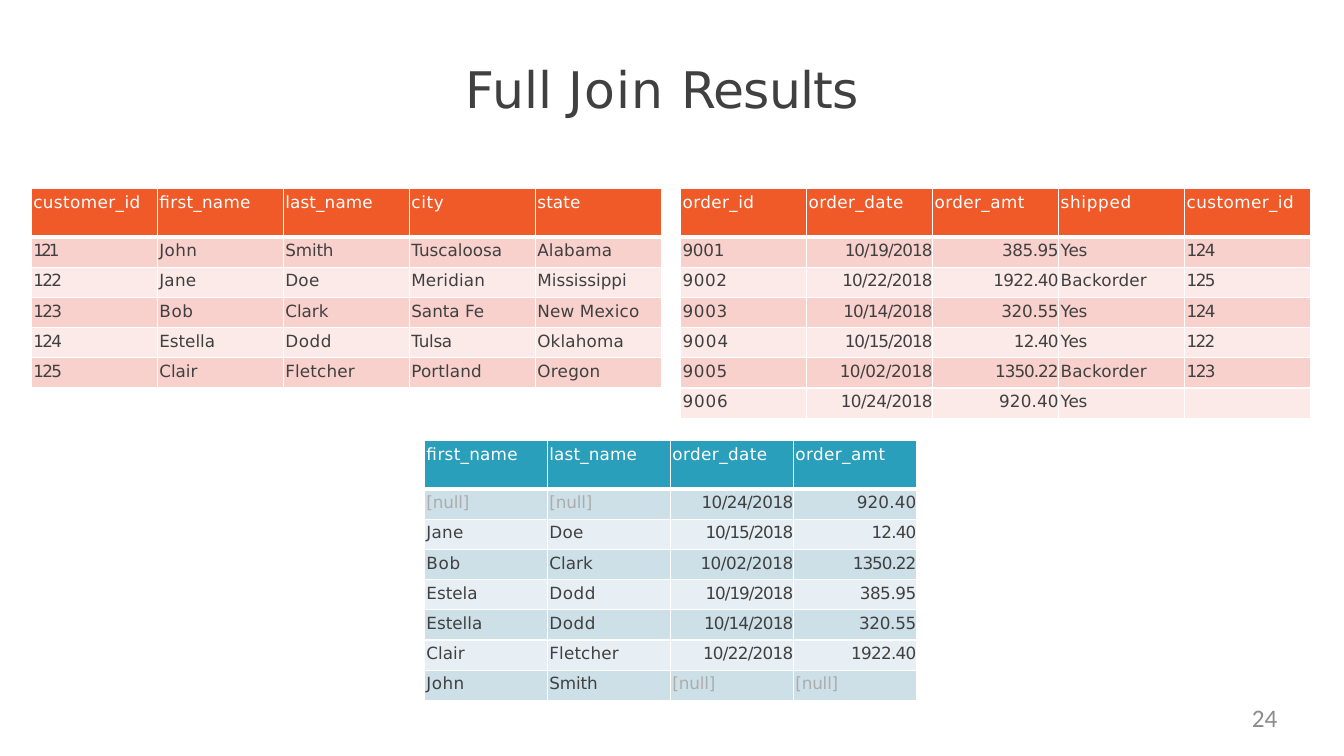
from lxml.etree import SubElement
from pptx import Presentation
from pptx.dml.color import RGBColor
from pptx.enum.text import PP_ALIGN
from pptx.oxml.ns import qn
from pptx.util import Inches, Pt

WHITE = RGBColor(0xFF, 0xFF, 0xFF)
DARK = RGBColor(0x40, 0x40, 0x40)
NULL_GRAY = RGBColor(0xAC, 0xAC, 0xAC)
NUMBER_GRAY = RGBColor(0x8C, 0x8C, 0x8C)
ORANGE = RGBColor(0xEF, 0x5A, 0x28)
ORANGE_BANDS = [RGBColor(0xF8, 0xD1, 0xCD), RGBColor(0xFB, 0xEA, 0xE8)]
TEAL = RGBColor(0x2A, 0x9F, 0xBB)
TEAL_BANDS = [RGBColor(0xCD, 0xDF, 0xE7), RGBColor(0xE8, 0xEF, 0xF4)]

HEADER_HEIGHT, ROW_HEIGHT = 0.48, 0.3
SOURCE_COLUMN, RESULT_COLUMN = 1.25, 1.22
SOURCE_TOP = 1.87
RIGHT_ALIGNED = ("order_date", "order_amt")

# Letter spacing in points, with the words that use it
SPACING_GROUPS = {
    -2: "121",
    -1.2: "122",
    -1.1: "123 124 125",
    -0.7: "10/19/2018 10/15/2018 1350.22",
    -0.6: "10/14/2018 12.40",
    -0.5: "10/22/2018 1922.40",
    -0.4: "10/24/2018",
    -0.3: "10/02/2018 385.95",
    -0.2: "9001 320.55 Tulsa",
    -0.1: "Yes Smith [null]",
    0.1: "last_name state Alabama Meridian Oklahoma Fletcher Portland Backorder 920.40",
    0.2: "first_name Jane Doe Oregon",
    0.3: "customer_id order_id order_date order_amt John",
    0.4: "9002 Dodd",
    0.5: "shipped city Bob 9003 9005",
    0.6: "9006",
    0.7: "9004",
}
SPACING = {word: points for points, words in SPACING_GROUPS.items() for word in words.split()}
SPACING["New Mexico"] = 0.1

ORDERS = [
    ["order_id", "order_date", "order_amt", "shipped", "customer_id"],
    ["9001", "10/19/2018", "385.95", "Yes", "124"],
    ["9002", "10/22/2018", "1922.40", "Backorder", "125"],
    ["9003", "10/14/2018", "320.55", "Yes", "124"],
    ["9004", "10/15/2018", "12.40", "Yes", "122"],
    ["9005", "10/02/2018", "1350.22", "Backorder", "123"],
    ["9006", "10/24/2018", "920.40", "Yes", ""],
]
CUSTOMERS = [
    ["customer_id", "first_name", "last_name", "city", "state"],
    ["121", "John", "Smith", "Tuscaloosa", "Alabama"],
    ["122", "Jane", "Doe", "Meridian", "Mississippi"],
    ["123", "Bob", "Clark", "Santa Fe", "New Mexico"],
    ["124", "Estella", "Dodd", "Tulsa", "Oklahoma"],
    ["125", "Clair", "Fletcher", "Portland", "Oregon"],
]
FULL_JOIN = [
    ["first_name", "last_name", "order_date", "order_amt"],
    ["[null]", "[null]", "10/24/2018", "920.40"],
    ["Jane", "Doe", "10/15/2018", "12.40"],
    ["Bob", "Clark", "10/02/2018", "1350.22"],
    ["Estela", "Dodd", "10/19/2018", "385.95"],
    ["Estella", "Dodd", "10/14/2018", "320.55"],
    ["Clair", "Fletcher", "10/22/2018", "1922.40"],
    ["John", "Smith", "[null]", "[null]"],
]
TABLES = [
    (ORDERS, 6.75, SOURCE_TOP, SOURCE_COLUMN, ORANGE, ORANGE_BANDS),
    (CUSTOMERS, 0.31, SOURCE_TOP, SOURCE_COLUMN, ORANGE, ORANGE_BANDS),
    (FULL_JOIN, 4.21, 4.37, RESULT_COLUMN, TEAL, TEAL_BANDS),
]


def format_run(run, font_name, size, color, spacing=0):
    run.font.name = font_name
    run.font.size = Pt(size)
    run.font.color.rgb = color
    run.font._element.set("spc", str(round(spacing * 100)))


def add_borders(cell, row_index):
    """Draw white cell edges, with a thick line under the header row."""
    widths = {"L": 1, "R": 1, "T": 3 if row_index == 1 else 1, "B": 3 if row_index == 0 else 1}
    properties = cell._tc.get_or_add_tcPr()
    for side, width in widths.items():
        line = SubElement(properties, qn(f"a:ln{side}"), w=str(Pt(width)))
        fill = SubElement(line, qn("a:solidFill"))
        SubElement(fill, qn("a:srgbClr"), val=str(WHITE))


presentation = Presentation()
presentation.slide_width = Inches(13.33)
presentation.slide_height = Inches(7.5)
slide = presentation.slides.add_slide(presentation.slide_layouts[6])

title_frame = slide.shapes.add_textbox(Inches(4.61), Inches(0.57), Inches(4.01), Inches(0.63)).text_frame
title_frame.word_wrap = True
title_frame.margin_left = title_frame.margin_right = title_frame.margin_bottom = 0
title_frame.margin_top = Inches(0.01)
title = title_frame.paragraphs[0]
title._p.get_or_add_pPr().set("marL", str(Inches(0.01)))
for word, spacing in [("Full ", 0.1), ("Join ", 0.7), ("Results", -0.5)]:
    run = title.add_run()
    run.text = word
    format_run(run, "DejaVu Sans", 36, DARK, spacing)

for rows, left, top, column_width, header_color, bands in TABLES:
    header = rows[0]
    height = HEADER_HEIGHT + ROW_HEIGHT * (len(rows) - 1)
    table = slide.shapes.add_table(
        len(rows), len(header), Inches(left), Inches(top),
        Inches(column_width * len(header)), Inches(height)).table
    table.first_row = table.horz_banding = False
    for column in table.columns:
        column.width = Inches(column_width)
    for row_index, values in enumerate(rows):
        is_header = row_index == 0
        table.rows[row_index].height = Inches(HEADER_HEIGHT if is_header else ROW_HEIGHT)
        for column_index, value in enumerate(values):
            cell = table.cell(row_index, column_index)
            add_borders(cell, row_index)
            cell.fill.solid()
            cell.fill.fore_color.rgb = header_color if is_header else bands[(row_index - 1) % 2]
            cell.margin_left = cell.margin_right = cell.margin_bottom = 0
            cell.margin_top = Inches(0.04)
            paragraph = cell.text_frame.paragraphs[0]
            if not value:
                SubElement(paragraph._p, qn("a:endParaRPr"), sz="1200")
                continue
            paragraph.text = value
            if header[column_index] in RIGHT_ALIGNED and not is_header and value != "[null]":
                paragraph.alignment = PP_ALIGN.RIGHT
            else:
                paragraph._p.get_or_add_pPr().set("marL", str(Inches(0.02)))
            color = WHITE if is_header else NULL_GRAY if value == "[null]" else DARK
            format_run(paragraph.runs[0], "DejaVu Sans", 12, color, SPACING.get(value, 0))

number_frame = slide.shapes.add_textbox(Inches(9.6), Inches(6.97), Inches(3.07), Inches(0.38)).text_frame
number_frame.word_wrap = True
number_frame.margin_left = number_frame.margin_right = 0
number_frame.margin_top = number_frame.margin_bottom = 0
number_frame.text = "24"
number_frame.paragraphs[0].alignment = PP_ALIGN.RIGHT
format_run(number_frame.paragraphs[0].runs[0], "Calibri", 18, NUMBER_GRAY)

presentation.save("out.pptx")
